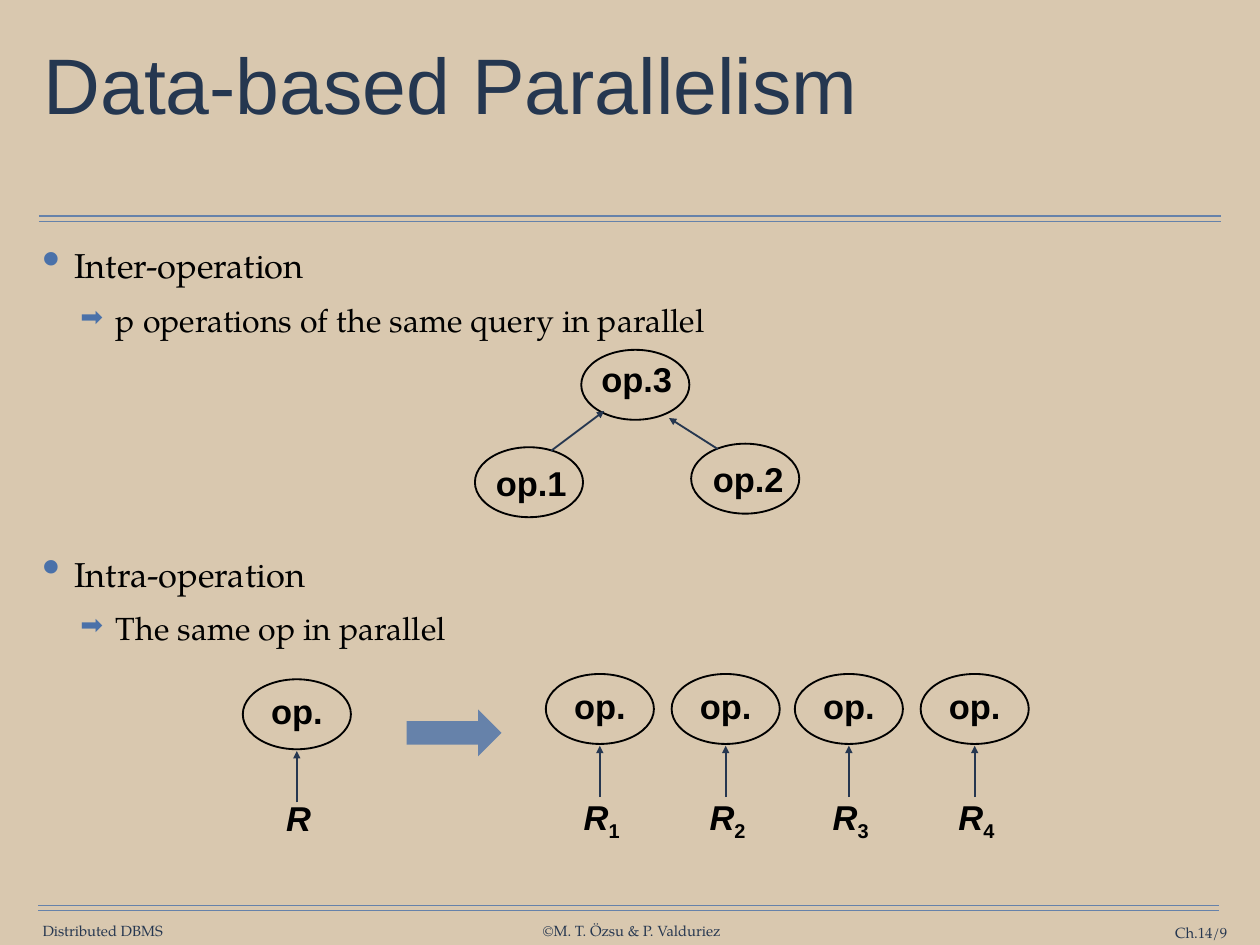
from pptx import Presentation
from pptx.dml.color import RGBColor
from pptx.enum.shapes import MSO_CONNECTOR, MSO_SHAPE
from pptx.enum.text import MSO_ANCHOR, MSO_AUTO_SIZE, PP_ALIGN
from pptx.oxml.ns import qn
from pptx.util import Inches, Pt
from lxml import etree

SAND = RGBColor(0xD9, 0xC8, 0xAF)
NAVY = RGBColor(0x25, 0x37, 0x50)
INK = RGBColor(0x26, 0x37, 0x50)
STEEL = RGBColor(0x66, 0x82, 0xAA)
BULLET_BLUE = RGBColor(0x4A, 0x71, 0xA9)
BLACK = RGBColor(0, 0, 0)

STRAIGHT = MSO_CONNECTOR.STRAIGHT
ELLIPSE = MSO_SHAPE.OVAL
RIGHT_ARROW = MSO_SHAPE.RIGHT_ARROW
TOP, MIDDLE = MSO_ANCHOR.TOP, MSO_ANCHOR.MIDDLE
LEFT, CENTER, RIGHT = PP_ALIGN.LEFT, PP_ALIGN.CENTER, PP_ALIGN.RIGHT
FIT_SHAPE = MSO_AUTO_SIZE.SHAPE_TO_FIT_TEXT

SANS = "Arial"
SERIF = "TeX Gyre Pagella"
NODE_WIDTH, NODE_HEIGHT = 1.22, 0.79


class ParallelismSlide:
    def __init__(self, deck):
        self.slide = deck.slides.add_slide(deck.slide_layouts[5])
        background = self.slide.background.fill
        background.solid()
        background.fore_color.rgb = SAND

    def frame(self, box, margins=(0, 0), anchor=TOP, wrap=False):
        text_frame = box.text_frame
        text_frame.margin_left = text_frame.margin_right = Inches(margins[0])
        text_frame.margin_top = text_frame.margin_bottom = Inches(margins[1])
        text_frame.vertical_anchor = anchor
        text_frame.word_wrap = wrap
        text_frame.auto_size = FIT_SHAPE
        return text_frame

    def text_box(self, left, top, width, height):
        return self.slide.shapes.add_textbox(
            Inches(left), Inches(top), Inches(width), Inches(height))

    def run(self, paragraph, text, size, font, color, bold=False, italic=False):
        run = paragraph.add_run()
        run.text = text
        run.font.size = Pt(size)
        run.font.name = font
        run.font.color.rgb = color
        run.font.bold = bold
        run.font.italic = italic
        return run

    def title(self, text, left, top, width, height):
        heading = self.slide.shapes.title
        heading.left, heading.top = Inches(left), Inches(top)
        heading.width, heading.height = Inches(width), Inches(height)
        paragraph = self.frame(heading, (0.1, 0.04)).paragraphs[0]
        paragraph.alignment = LEFT
        paragraph.line_spacing = 0.9
        self.run(paragraph, text, 64, SANS, NAVY)

    def line(self, start, end, color, width, arrow=False):
        connector = self.slide.shapes.add_connector(
            STRAIGHT, Inches(start[0]), Inches(start[1]), Inches(end[0]), Inches(end[1]))
        connector.line.color.rgb = color
        connector.line.width = Pt(width)
        properties = connector.element.spPr
        if arrow:
            etree.SubElement(properties.find(qn("a:ln")), qn("a:tailEnd"), type="triangle")
        etree.SubElement(properties, qn("a:effectLst"))

    def double_rule(self, left, top, length):
        for y in (top, top + 0.06):
            self.line((left, y), (left + length, y), STEEL, 1)

    def footer(self, text, left, top, width, alignment, wrap=False):
        box = self.text_box(left, top, width, 0.2)
        paragraph = self.frame(box, anchor=MIDDLE, wrap=wrap).paragraphs[0]
        paragraph.alignment = alignment
        self.run(paragraph, text, 12, SERIF, INK)

    def bullet(self, paragraph, text, level, size, indent, hanging, mark, percent):
        paragraph.level = level
        paragraph.alignment = LEFT
        paragraph.space_before = Pt(12)
        properties = paragraph._p.get_or_add_pPr()
        properties.set("marL", str(Inches(indent)))
        properties.set("indent", str(-Inches(hanging)))
        color = etree.SubElement(properties, qn("a:buClr"))
        etree.SubElement(color, qn("a:srgbClr"), val=str(BULLET_BLUE))
        etree.SubElement(properties, qn("a:buSzPct"), val=str(percent * 1000))
        etree.SubElement(properties, qn("a:buChar"), char=mark)
        self.run(paragraph, text, size, SERIF, BLACK)

    def topic(self, heading, detail, top, width):
        text_frame = self.frame(self.text_box(0.38, top, width, 1.16), (0.1, 0.04), wrap=True)
        self.bullet(text_frame.paragraphs[0], heading, 0, 28, 0.36, 0.36, "•", 150)
        self.bullet(text_frame.add_paragraph(), detail, 1, 26, 0.83, 0.4, "➡", 85)

    def shape(self, kind, left, top, width, height):
        shape = self.slide.shapes.add_shape(
            kind, Inches(left), Inches(top), Inches(width), Inches(height))
        shape.shadow.inherit = False
        return shape

    def label(self, text, left, top, width, height, italic=False, subscript=""):
        box = self.text_box(left, top, width, height)
        paragraph = self.frame(box, (0.14, 0.07)).paragraphs[0]
        paragraph.alignment = CENTER
        paragraph.line_spacing = 0.9
        self.run(paragraph, text, 28, SANS, BLACK, True, italic)
        if subscript:
            index = self.run(paragraph, subscript, 28, SANS, BLACK, True)
            index.font._element.set("baseline", "-25000")

    def node(self, text, left, top, label_offset, label_width):
        ellipse = self.shape(ELLIPSE, left, top, NODE_WIDTH, NODE_HEIGHT)
        ellipse.fill.background()
        ellipse.line.color.rgb = BLACK
        ellipse.line.width = Pt(1.5)
        across, down = label_offset
        self.label(text, left + across, top + down, label_width, 0.57)

    def operation_on(self, subscript, left, top):
        self.node("op.", left, top, (0.17, 0.11), 0.88)
        center = left + NODE_WIDTH / 2
        self.line((center, top + 1.39), (center, top + 0.81), INK, 1.5, arrow=True)
        width = 0.71 if subscript else 0.59
        self.label("R", center + 0.02 - width / 2, top + 1.31, width, 0.57, True, subscript)

    def block_arrow(self, left, top, width, height):
        arrow = self.shape(RIGHT_ARROW, left, top, width, height)
        arrow.fill.solid()
        arrow.fill.fore_color.rgb = STEEL
        arrow.line.fill.background()


def main():
    deck = Presentation()
    deck.slide_width, deck.slide_height = Inches(14.22), Inches(10.67)
    page = ParallelismSlide(deck)

    page.double_rule(0.44, 2.44, 13.34)
    page.double_rule(0.43, 10.22, 13.33)
    page.footer("Distributed DBMS", 0.47, 10.41, 1.38, CENTER)
    page.footer("©M. T. Özsu & P. Valduriez", 6.11, 10.41, 2.04, CENTER)
    page.footer("Ch.14/9", 12.31, 10.43, 1.54, RIGHT, wrap=True)
    page.title("Data-based Parallelism", 0.39, 0.49, 9.49, 1.05)

    page.topic("Inter-operation", "p operations of the same query in parallel", 2.72, 13.44)
    page.node("op.1", 5.36, 5.05, (0.09, 0.15), 1.09)
    page.node("op.2", 7.8, 5.01, (0.1, 0.15), 1.09)
    page.node("op.3", 6.56, 3.95, (0.08, 0.08), 1.09)
    page.line((6.22, 5.09), (6.82, 4.64), INK, 1.5, arrow=True)
    page.line((8.1, 5.07), (7.55, 4.72), INK, 1.5, arrow=True)

    page.topic("Intra-operation", "The same op in parallel", 6.2, 11.82)
    page.operation_on("", 2.74, 7.67)
    page.block_arrow(4.59, 8.01, 1.07, 0.53)
    for number, left in enumerate((6.16, 7.58, 8.97, 10.39), start=1):
        page.operation_on(str(number), left, 7.61)

    deck.save("out.pptx")


if __name__ == "__main__":
    main()
